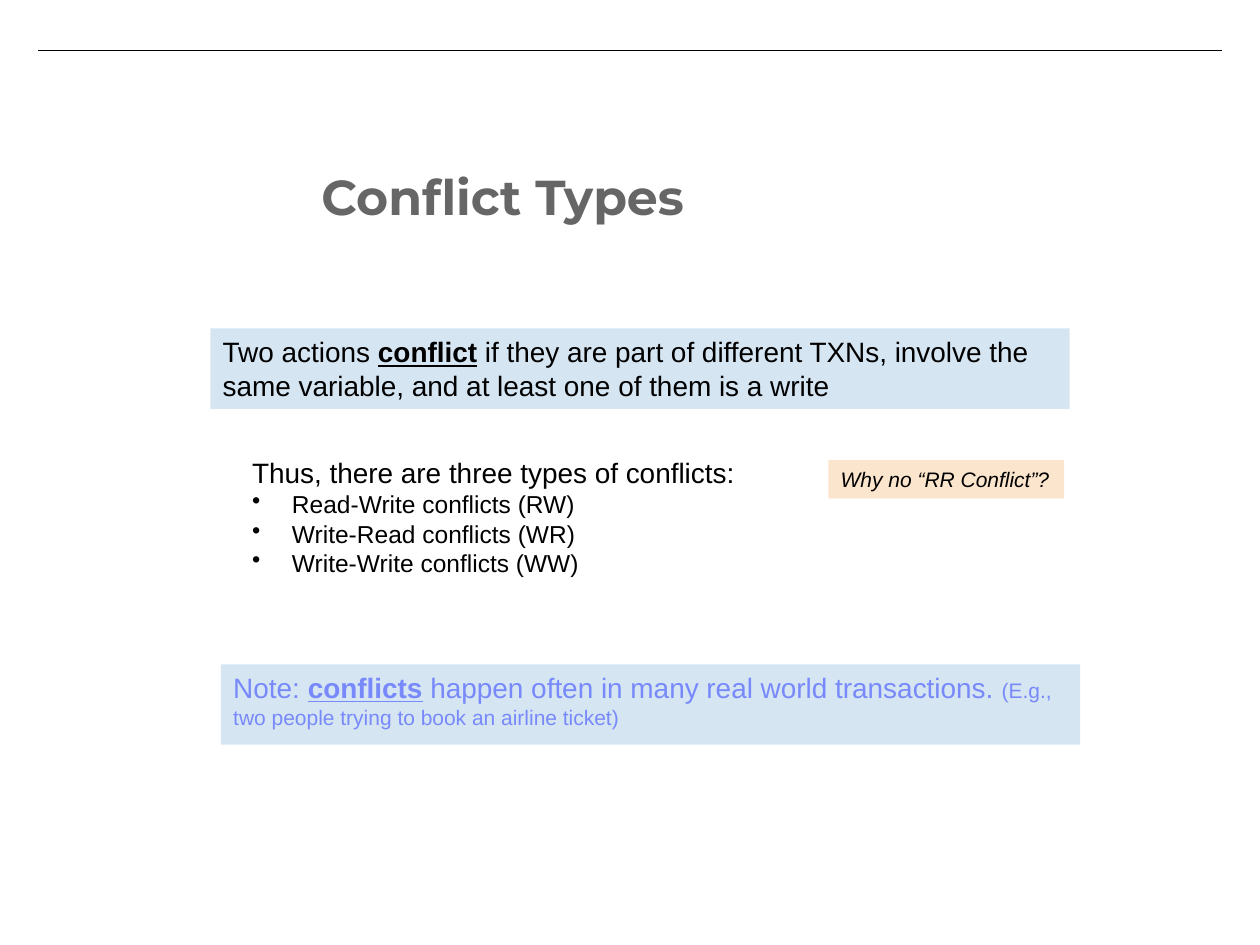
from dataclasses import dataclass
from typing import Any

from lxml.etree import SubElement
from pptx import Presentation
from pptx.dml.color import RGBColor
from pptx.enum.shapes import MSO_CONNECTOR as Connector, MSO_SHAPE as Shape
from pptx.enum.text import MSO_ANCHOR as Anchor, PP_ALIGN as Align
from pptx.oxml.ns import qn
from pptx.util import Pt


def color(hex_code):
    return RGBColor.from_string(hex_code)


@dataclass
class SlideBuilder:
    slide: Any
    body_font: str = "Arial"
    title_font: str = "Montserrat"
    ink: str = "000000"
    title_ink: str = "666666"

    def format_font(self, font, size, ink, name=None):
        font.name = name or self.body_font
        font.size = Pt(size)
        font.color.rgb = color(ink)

    def prepare_frame(self, frame, inset=3.6):
        frame.word_wrap = True
        frame.vertical_anchor = Anchor.TOP
        frame.margin_left = frame.margin_right = Pt(7.2)
        frame.margin_top = frame.margin_bottom = Pt(inset)

    def title(self, text, left, top, width, height):
        heading = self.slide.shapes.title
        heading.left, heading.top = Pt(left), Pt(top)
        heading.width, heading.height = Pt(width), Pt(height)
        self.prepare_frame(heading.text_frame, inset=7.2)
        heading.text_frame.text = text
        paragraph = heading.text_frame.paragraphs[0]
        paragraph.alignment = Align.LEFT
        self.format_font(paragraph.font, 28, self.title_ink, self.title_font)
        paragraph.font.bold = True

    def rule(self, left, right, y):
        line = self.slide.shapes.add_connector(
            Connector.STRAIGHT, Pt(left), Pt(y), Pt(right), Pt(y))
        line.line.color.rgb = color(self.ink)
        line.line.width = Pt(0.75)
        SubElement(line._element.spPr, qn("a:effectLst"))

    def callout(self, runs, left, top, width, height, fill,
                size=16, ink=None, italic=None):
        """Each run is (text, style); style is None, "key" or a size."""
        box = self.slide.shapes.add_shape(
            Shape.RECTANGLE, Pt(left), Pt(top), Pt(width), Pt(height))
        box.shadow.inherit = False
        box.fill.solid()
        box.fill.fore_color.rgb = color(fill)
        box.line.fill.background()
        self.prepare_frame(box.text_frame)
        paragraph = box.text_frame.paragraphs[0]
        paragraph.alignment = Align.LEFT
        self.format_font(paragraph.font, size, ink or self.ink)
        paragraph.font.italic = italic
        for text, style in runs:
            run = paragraph.add_run()
            run.text = text
            # Run-level colour overrides the white of the shape style
            self.format_font(run.font, size, ink or self.ink)
            if style == "key":
                run.font.bold = run.font.underline = True
            elif style:
                run.font.size = Pt(style)
            if italic:
                run.font.italic = True

    def bullet_list(self, intro, items, left, top, width, height):
        box = self.slide.shapes.add_textbox(
            Pt(left), Pt(top), Pt(width), Pt(height))
        frame = box.text_frame
        self.prepare_frame(frame)
        frame.text = "\n".join([intro, *items])
        lead, *bullets = frame.paragraphs
        self.format_font(lead.font, 16, self.ink)
        lead._p.get_or_add_pPr().set("marL", str(Pt(22.5)))
        for paragraph in bullets:
            paragraph.level = 1
            self.format_font(paragraph.font, 14, self.ink)
            properties = paragraph._p.get_or_add_pPr()
            properties.set("marL", str(Pt(45.3)))
            properties.set("indent", str(-Pt(22.8)))
            bullet = properties.makeelement(qn("a:buChar"), {"char": "•"})
            properties.insert(0, bullet)


def main():
    deck = Presentation()
    deck.slide_width, deck.slide_height = Pt(720), Pt(540)
    builder = SlideBuilder(deck.slides.add_slide(deck.slide_layouts[5]))
    blue, peach, periwinkle = "D5E5F2", "FCE5CD", "7889FB"

    # Header
    builder.rule(21.6, 698.4, 28.8)
    builder.title("Conflict Types", 176.4, 87.8, 526.3, 91.4)

    # Kinds of conflict, with a question beside them
    builder.bullet_list(
        "Thus, there are three types of conflicts:",
        [f"{name} conflicts ({code})" for name, code in
         (("Read-Write", "RW"), ("Write-Read", "WR"), ("Write-Write", "WW"))],
        114.5, 257, 335.5, 97)
    builder.callout([("Why no “RR Conflict”?", None)],
                    473.3, 263, 134.8, 21.8, peach, size=12, italic=True)

    # Definition
    builder.callout(
        [("Two actions ", None), ("conflict", "key"),
         (" if they are part of different TXNs, involve the same variable, "
          "and at least one of them is a write", None)],
        120.2, 187.7, 491, 46, blue)

    # Closing note
    builder.callout(
        [("Note: ", None), ("conflicts", "key"),
         (" happen often in many real world transactions. ", None),
         ("(E.g., two people trying to book an airline ticket)", 12)],
        126.2, 379.6, 491, 46, blue, ink=periwinkle)

    deck.save("out.pptx")


if __name__ == "__main__":
    main()
